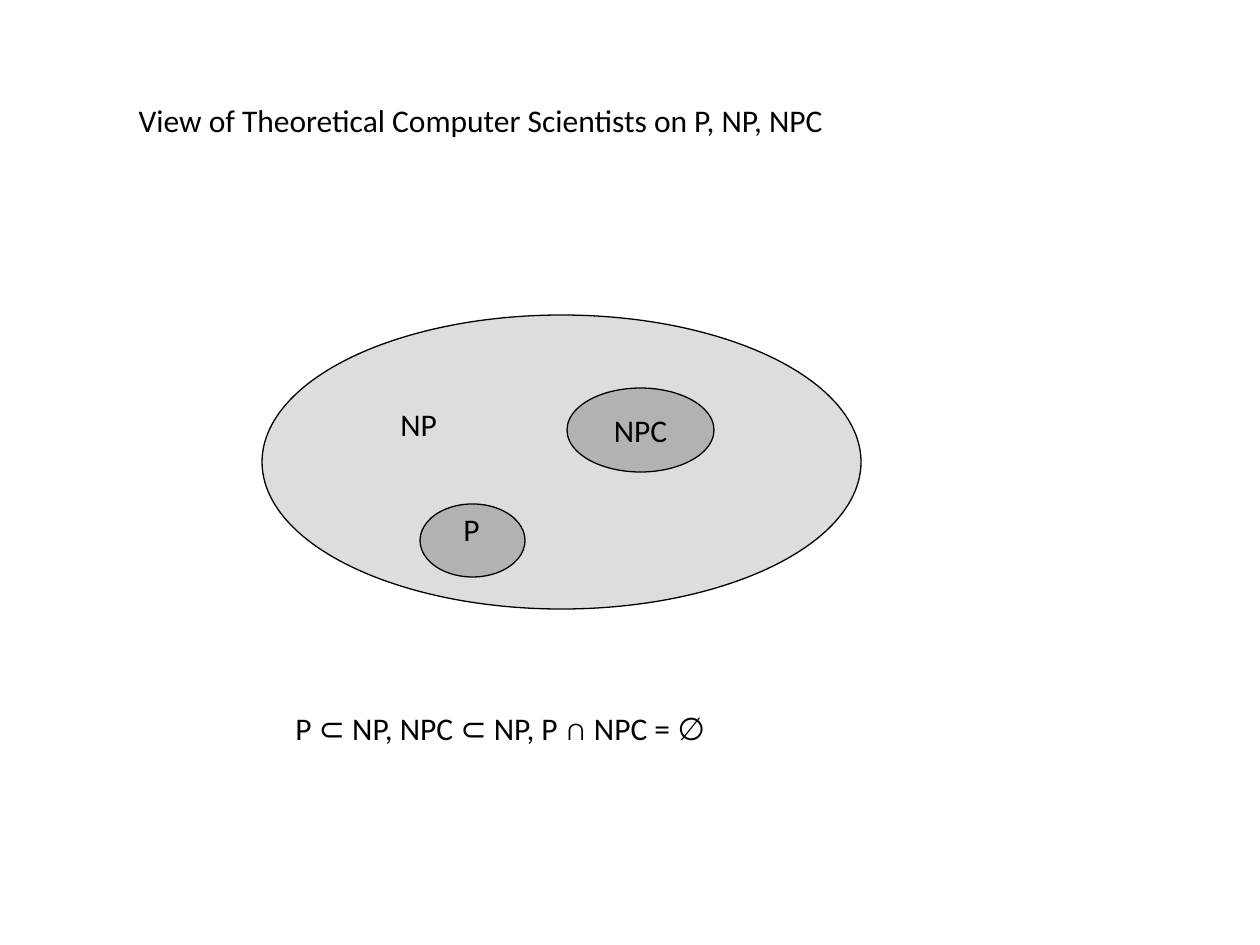
from pptx import Presentation
from pptx.dml.color import RGBColor
from pptx.enum.shapes import MSO_SHAPE
from pptx.enum.text import MSO_ANCHOR, MSO_AUTO_SIZE, PP_ALIGN
from pptx.util import Inches, Pt

PIXEL = Inches(1) / 126
COLOURS = {"ink": "000000", "outer": "DDDDDD", "inner": "B2B2B2"}


class SetDiagram:
    """Draws titles, labels and ellipses on one page in a shared style."""

    font = "Calibri"
    size = Pt(18)
    outline = Pt(0.75)

    def __init__(self, page):
        self.page = page

    def colour(self, name):
        return RGBColor.from_string(COLOURS[name])

    def lengths(self, *pixels):
        return [round(pixel * PIXEL) for pixel in pixels]

    def set_text(self, shape, text, align=PP_ALIGN.LEFT, anchor=MSO_ANCHOR.TOP, wrap=True):
        frame = shape.text_frame
        frame.text = text
        frame.word_wrap = wrap
        frame.auto_size = MSO_AUTO_SIZE.NONE
        frame.vertical_anchor = anchor
        for para in frame.paragraphs:
            para.alignment = align
            for span in para.runs:
                span.font.name = self.font
                span.font.size = self.size
                span.font.color.rgb = self.colour("ink")

    def title(self, text, left, top, width, height):
        box = self.page.shapes.title
        box.left, box.top, box.width, box.height = self.lengths(left, top, width, height)
        self.set_text(box, text)

    def label(self, text, left, top, width, height):
        box = self.page.shapes.add_textbox(*self.lengths(left, top, width, height))
        self.set_text(box, text)

    def ellipse(self, fill, left, top, width, height, text=""):
        oval = self.page.shapes.add_shape(
            MSO_SHAPE.OVAL, *self.lengths(left, top, width, height))
        oval.shadow.inherit = False
        oval.fill.solid()
        oval.fill.fore_color.rgb = self.colour(fill)
        oval.line.color.rgb = self.colour("ink")
        oval.line.width = self.outline
        if text:
            self.set_text(oval, text, PP_ALIGN.CENTER, MSO_ANCHOR.MIDDLE, wrap=False)


deck = Presentation()
deck.slide_width, deck.slide_height = Inches(10), Inches(7.5)
diagram = SetDiagram(deck.slides.add_slide(deck.slide_layouts[5]))

diagram.title("View of Theoretical Computer Scientists on P, NP, NPC", 126, 95, 976, 63)
diagram.ellipse("outer", 262, 315, 599, 294)
diagram.ellipse("inner", 567, 388, 147, 84, "NPC")
diagram.ellipse("inner", 420, 504, 105, 73)
diagram.label("P", 451, 504, 49, 63)
diagram.label("NP", 388, 399, 79, 63)
diagram.label("P ⊂ NP, NPC ⊂ NP, P ∩ NPC = ∅", 283, 703, 620, 63)

deck.save("out.pptx")
